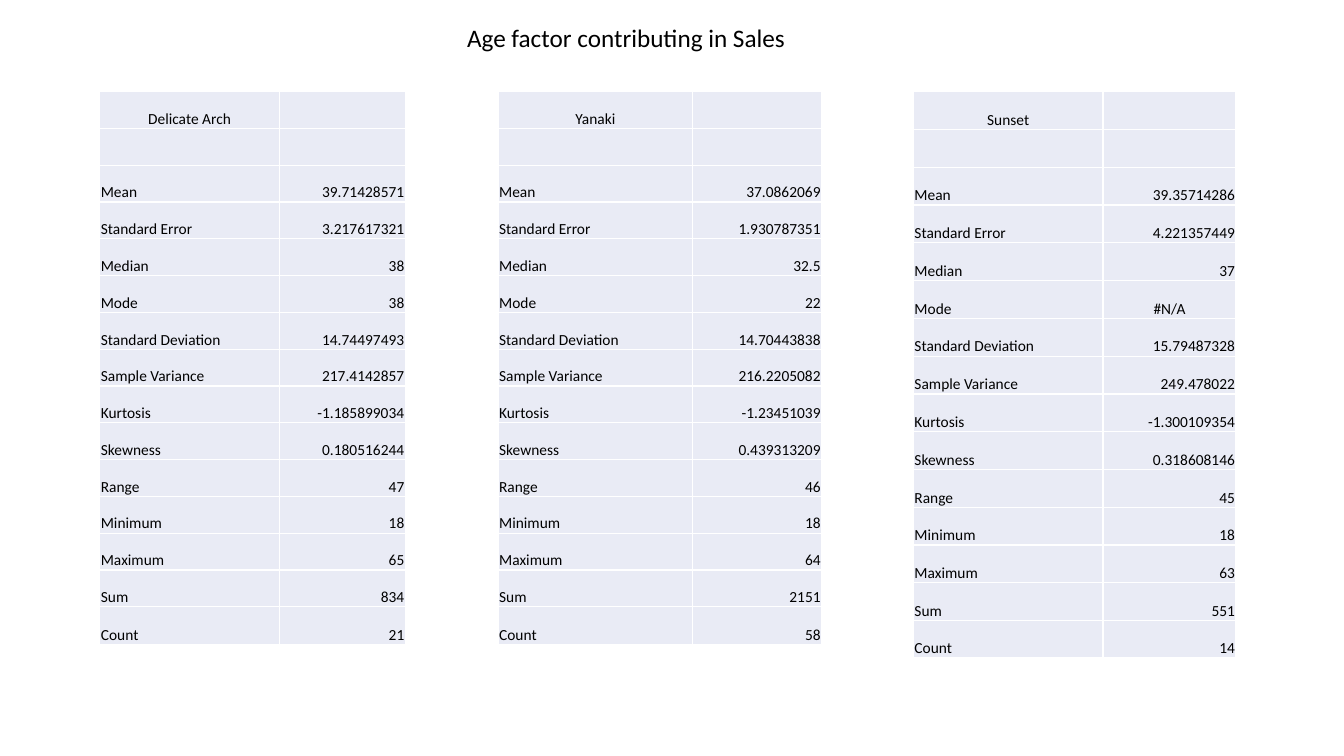
from lxml import etree
from pptx import Presentation
from pptx.dml.color import RGBColor
from pptx.enum.text import MSO_ANCHOR, MSO_AUTO_SIZE, PP_ALIGN
from pptx.oxml.ns import qn
from pptx.util import Inches, Pt

LEFT, CENTER, RIGHT = PP_ALIGN.LEFT, PP_ALIGN.CENTER, PP_ALIGN.RIGHT
TOP, BOTTOM = MSO_ANCHOR.TOP, MSO_ANCHOR.BOTTOM
GROW = MSO_AUTO_SIZE.SHAPE_TO_FIT_TEXT
BLACK, WHITE, CELL_FILL = "000000", "FFFFFF", "E9EBF5"

STATISTICS = [
    "Mean", "Standard Error", "Median", "Mode", "Standard Deviation",
    "Sample Variance", "Kurtosis", "Skewness", "Range", "Minimum",
    "Maximum", "Sum", "Count",
]
TABLES = [
    ("Delicate Arch", 0.99, (1.78, 1.25), 5.49, 0.38,
     ["39.71428571", "3.217617321", "38", "38", "14.74497493",
      "217.4142857", "-1.185899034", "0.180516244", "47", "18",
      "65", "834", "21"]),
    ("Yanaki", 4.94, (1.93, 1.28), 5.49, 0.38,
     ["37.0862069", "1.930787351", "32.5", "22", "14.70443838",
      "216.2205082", "-1.23451039", "0.439313209", "46", "18",
      "64", "2151", "58"]),
    ("Sunset", 9.06, (1.88, 1.32), 5.62, 0.37,
     ["39.35714286", "4.221357449", "37", "#N/A", "15.79487328",
      "249.478022", "-1.300109354", "0.318608146", "45", "18",
      "63", "551", "14"]),
]


def color(value):
    return RGBColor.from_string(value)


def write(tf, text, size=11, align=LEFT, font="Calibri", fill=BLACK):
    p = tf.paragraphs[0]
    p.alignment = align
    r = p.add_run()
    r.text = text
    r.font.size = Pt(size)
    r.font.name = font
    r.font.color.rgb = color(fill)


prs = Presentation()
prs.slide_width, prs.slide_height = Inches(13.33), Inches(7.5)
s = prs.slides.add_slide(prs.slide_layouts[5])

title = s.shapes.title
title.left, title.top = Inches(2.31), Inches(0.17)
title.width, title.height = Inches(7.8), Inches(0.4)
title.text_frame.word_wrap = True
title.text_frame.auto_size = GROW
title.text_frame.vertical_anchor = TOP
write(title.text_frame, "Age factor contributing in Sales", size=18, align=CENTER)

for name, left, widths, height, last_height, values in TABLES:
    rows = [(name, ""), ("", ""), *zip(STATISTICS, values)]
    frame = s.shapes.add_table(len(rows), 2, Inches(left), Inches(0.91),
                               Inches(sum(widths)), Inches(height))
    table = frame.table
    table.first_row = table.horz_banding = False
    for column, width in zip(table.columns, widths):
        column.width = Inches(width)
    for row in table.rows:
        row.height = Inches((height - last_height) / (len(rows) - 1))
    table.rows[len(rows) - 1].height = Inches(last_height)

    for i, texts in enumerate(rows):
        for j, text in enumerate(texts):
            cell = table.cell(i, j)
            cell.margin_left = cell.margin_right = cell.margin_top = Inches(0.01)
            cell.margin_bottom = 0
            cell.vertical_anchor = BOTTOM
            tcPr = cell._tc.get_or_add_tcPr()
            for side in ("a:lnL", "a:lnR", "a:lnT", "a:lnB"):
                ln = etree.SubElement(tcPr, qn(side), w=str(Pt(1)))
                solid = etree.SubElement(ln, qn("a:solidFill"))
                etree.SubElement(solid, qn("a:srgbClr"), val=WHITE)
            cell.fill.solid()
            cell.fill.fore_color.rgb = color(CELL_FILL)
            if text:
                centered = i == 0 or text == "#N/A"
                align = CENTER if centered else (LEFT, RIGHT)[j]
                write(cell.text_frame, text, align=align)

prs.save("out.pptx")
